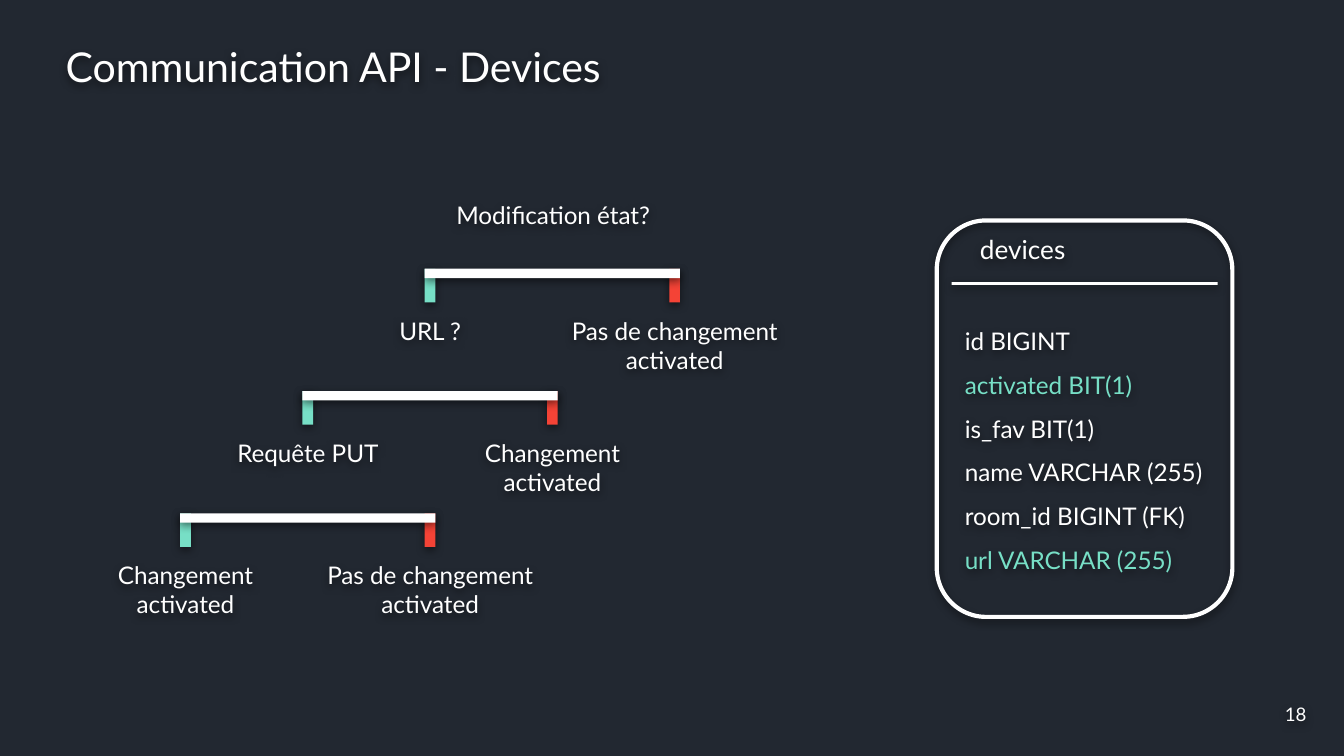
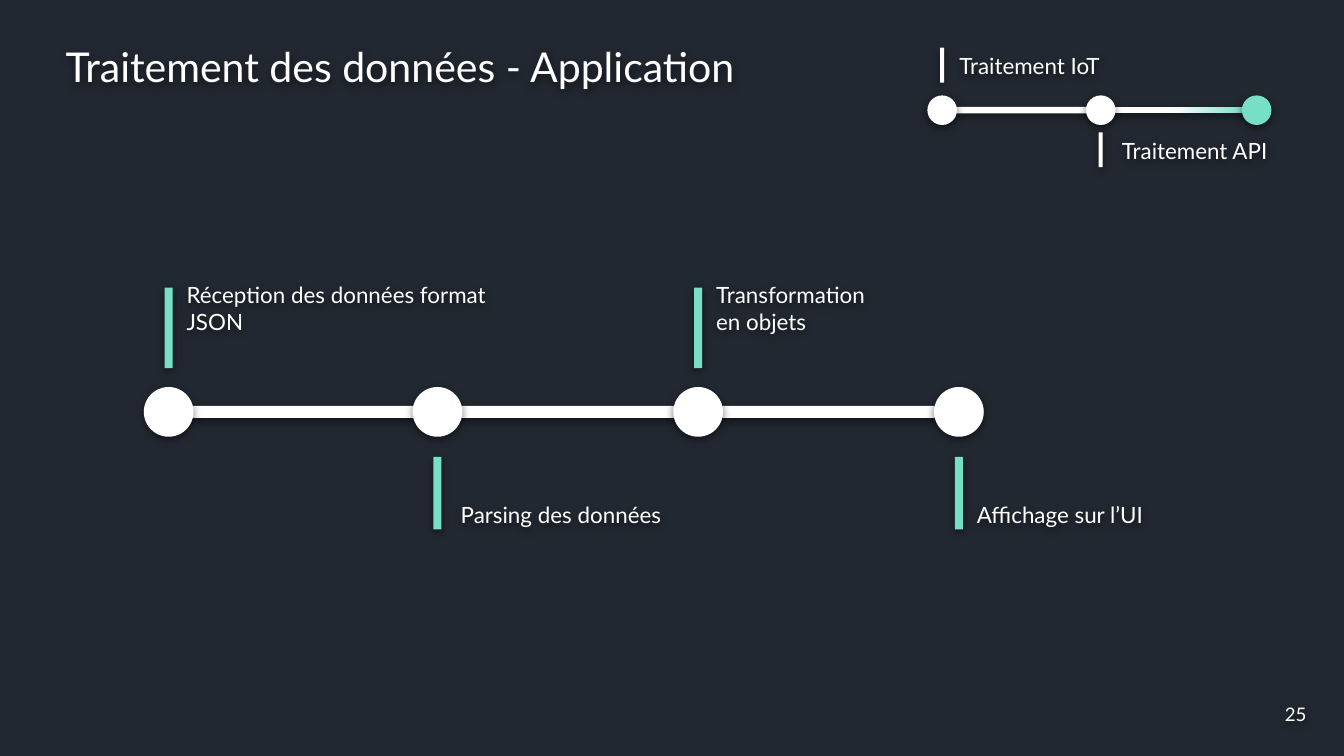
from dataclasses import dataclass
from itertools import pairwise

from lxml.etree import SubElement
from pptx import Presentation
from pptx.dml.color import RGBColor
from pptx.enum.shapes import MSO_SHAPE as Preset
from pptx.enum.text import MSO_ANCHOR as Anchor
from pptx.enum.text import MSO_AUTO_SIZE as AutoSize
from pptx.enum.text import PP_ALIGN as Align
from pptx.oxml.ns import qn
from pptx.util import Inches, Pt

COLORS = {
    "background": "222831",
    "white": "FFFFFF",
    "mint": "77DFC6",
    "red": "F44336",
    "shadow": "000000",
}
FONT = "Lato"
SLIDE_WIDTH, SLIDE_HEIGHT = Inches(10), Inches(5.625)
COLUMN, ROW = SLIDE_WIDTH / 100, SLIDE_HEIGHT / 56.25


@dataclass
class Box:
    left: float
    top: float
    width: float
    height: float

    def inner(self, left, top, width, height):
        return Box(self.left + left, self.top + top, width, height)

    def emu(self):
        return (round(self.left * COLUMN), round(self.top * ROW),
                round(self.width * COLUMN), round(self.height * ROW))


def color(name):
    return RGBColor.from_string(COLORS[name])


def add_shadow(shape):
    shape.shadow.inherit = False
    effects = shape._element.spPr.find(qn("a:effectLst"))
    outer = SubElement(effects, qn("a:outerShdw"), blurRad=str(Pt(4.5)),
                       dist=str(Pt(1.5)), dir="5400000", algn="bl", rotWithShape="0")
    shade = SubElement(outer, qn("a:srgbClr"), val=COLORS["shadow"])
    SubElement(shade, qn("a:alpha"), val="50000")


def add_solid(shapes, box, fill="white", preset=Preset.RECTANGLE):
    shape = shapes.add_shape(preset, *box.emu())
    shape.fill.solid()
    shape.fill.fore_color.rgb = color(fill)
    shape.line.fill.background()
    add_shadow(shape)
    return shape


def add_label(shapes, box, lines, size, align=Align.LEFT, spacing=None):
    shape = shapes.add_textbox(*box.emu())
    frame = shape.text_frame
    frame.word_wrap = True
    frame.auto_size = AutoSize.SHAPE_TO_FIT_TEXT
    frame.margin_left = frame.margin_right = Inches(0.1)
    frame.margin_top = frame.margin_bottom = Inches(0.1)
    for index, (text, tint) in enumerate(lines):
        paragraph = frame.add_paragraph() if index else frame.paragraphs[0]
        paragraph.alignment = align
        paragraph.line_spacing = spacing
        run = paragraph.add_run()
        run.text = text
        run.font.name = FONT
        run.font.size = Pt(size)
        run.font.color.rgb = color(tint)
    add_shadow(shape)
    return shape


def white(*texts):
    return [(text, "white") for text in texts]


def add_base_slide(presentation, title, title_width, number):
    slide = presentation.slides.add_slide(presentation.slide_layouts[6])
    slide.background.fill.solid()
    slide.background.fill.fore_color.rgb = color("background")
    add_label(slide.shapes, Box(3.9, 2.1, title_width, 5.7), white(title), 22)
    number_label = add_label(slide.shapes, Box(93.9, 51, 5, 4.3), white(number),
                             10, Align.CENTER)
    number_label.text_frame.auto_size = AutoSize.NONE
    number_label.text_frame.vertical_anchor = Anchor.MIDDLE
    number_label.shadow.inherit = False
    return slide


def add_table_card(slide, box, name, fields):
    shapes = slide.shapes.add_group_shape().shapes
    outline = shapes.add_shape(Preset.ROUNDED_RECTANGLE, *box.emu())
    outline.adjustments[0] = 0.167
    outline.fill.background()
    outline.line.color.rgb = color("white")
    outline.line.width = Pt(2.25)
    add_shadow(outline)
    inset = 1.1
    inner_width = box.width - 2 * inset
    add_solid(shapes, box.inner(inset, 4.6, inner_width, 0.2))
    add_label(shapes, box.inner(inset, 0, 10.6, 4.4), white(name), 14, Align.CENTER)
    add_label(shapes, box.inner(inset, 5.8, inner_width, 20.6), fields, 13, spacing=1.5)


def add_fork(slide, box, answers):
    shapes = slide.shapes.add_group_shape().shapes
    leg_width = 0.8
    legs = (0, "mint"), (box.width - leg_width, "red")
    for (left, tint), (text, width, height) in zip(legs, answers):
        add_solid(shapes, box.inner(left, 0, leg_width, box.height), tint)
        center = left + leg_width / 2
        add_label(shapes, box.inner(center - width / 2, box.height, width, height),
                  white(text), 13, Align.CENTER)
    add_solid(shapes, box.inner(0, 0, box.width, 0.7))


def add_decision_tree(slide, box, question, forks):
    step = 9.1
    fork_width = 19
    add_label(slide.shapes, box.inner(box.width - fork_width + 0.3, 0, 18.5, 4.2),
              white(question), 13, Align.CENTER)
    for level, answers in enumerate(forks):
        left = box.width - fork_width - level * step
        add_fork(slide, box.inner(left, 6.1 + level * step, fork_width, 2.5), answers)


def add_dot(shapes, box, center, diameter, fill="white"):
    radius = diameter / 2
    add_solid(shapes, box.inner(center - radius, box.height / 2 - radius,
                                diameter, diameter), fill, Preset.OVAL)


def add_stem(shapes, box, center, top, width, height, fill):
    add_solid(shapes, box.inner(center - width / 2, top, width, height), fill)


def add_timeline(slide, box, steps):
    shapes = slide.shapes.add_group_shape().shapes
    for (center, *_), _ in pairwise(steps):
        add_solid(shapes, box.inner(center + 0.4, (box.height - 0.9) / 2, 19, 0.9))
    for index, (center, gap, lines) in enumerate(steps):
        add_dot(shapes, box, center, 3.7)
        if index % 2:
            stem_top, stem_height, label_top, label_height = 14.1, 5.4, 16.4, 4
        else:
            stem_top, stem_height, label_top, label_height = 1.5, 6, 0, 6.1
        add_stem(shapes, box, center, stem_top, 0.6, stem_height, "mint")
        add_label(shapes, box.inner(center + gap, label_top, 24.3, label_height),
                  white(*lines), 12)


def add_progress(slide, box, labels):
    shapes = slide.shapes.add_group_shape().shapes
    centers = 1.1, 12.9, 24.5
    bar_top = (box.height - 0.5) / 2
    add_solid(shapes, box.inner(1.4, bar_top, 10.9, 0.5))
    current = add_solid(shapes, box.inner(13.5, bar_top, 10.2, 0.5))
    current.fill.gradient()
    current.fill.gradient_angle = 0
    stops = zip(current.fill.gradient_stops, ((0.47, "white"), (1, "mint")))
    for stop, (position, tint) in stops:
        stop.position = position
        stop.color.rgb = color(tint)
    for center, tint in zip(centers, ("white", "white", "mint")):
        add_dot(shapes, box, center, 2.2, tint)
    places = (0.3, 0, 0.65), (0.6, 6.3, 6.95)
    for text, center, (gap, label_top, stem_top) in zip(labels, centers, places):
        add_label(shapes, box.inner(center + gap, label_top, 14, 4), white(text), 12)
        add_stem(shapes, box, center, stem_top, 0.3, 2.6, "white")


def build_devices_slide(presentation):
    slide = add_base_slide(presentation, "Communication API - Devices", 44.4, "18")
    add_table_card(slide, Box(69.7, 16.4, 22, 29.5), "devices", [
        ("id BIGINT", "white"),
        ("activated BIT(1)", "mint"),
        ("is_fav BIT(1)", "white"),
        ("name VARCHAR (255)", "white"),
        ("room_id BIGINT (FK)", "white"),
        ("url VARCHAR (255)", "mint"),
    ])
    unchanged = "Pas de changement activated", 18.5, 6.4
    changed = "Changement activated", 12.9, 6.4
    add_decision_tree(slide, Box(7.3, 13.9, 43.3, 33.3), "Modification état?", [
        (("URL ?", 12.9, 4.2), unchanged),
        (("Requête PUT", 12.9, 4.2), changed),
        (changed, unchanged),
    ])


def build_application_slide(presentation):
    slide = add_base_slide(presentation, "Traitement des données - Application", 51.9, "25")
    add_timeline(slide, Box(10.7, 19.9, 85.3, 21.5), [
        (1.85, 0.35, ["Réception des données format JSON"]),
        (21.85, 0.75, ["Parsing des données"]),
        (41.25, 0.35, ["Transformation", "en objets"]),
        (60.65, 0.35, ["Affichage sur l’UI"]),
    ])
    add_progress(slide, Box(69, 2.9, 27.5, 10.6), ["Traitement IoT", "Traitement API"])


def main():
    presentation = Presentation()
    presentation.slide_width = SLIDE_WIDTH
    presentation.slide_height = SLIDE_HEIGHT
    build_devices_slide(presentation)
    build_application_slide(presentation)
    presentation.save("out.pptx")


if __name__ == "__main__":
    main()
